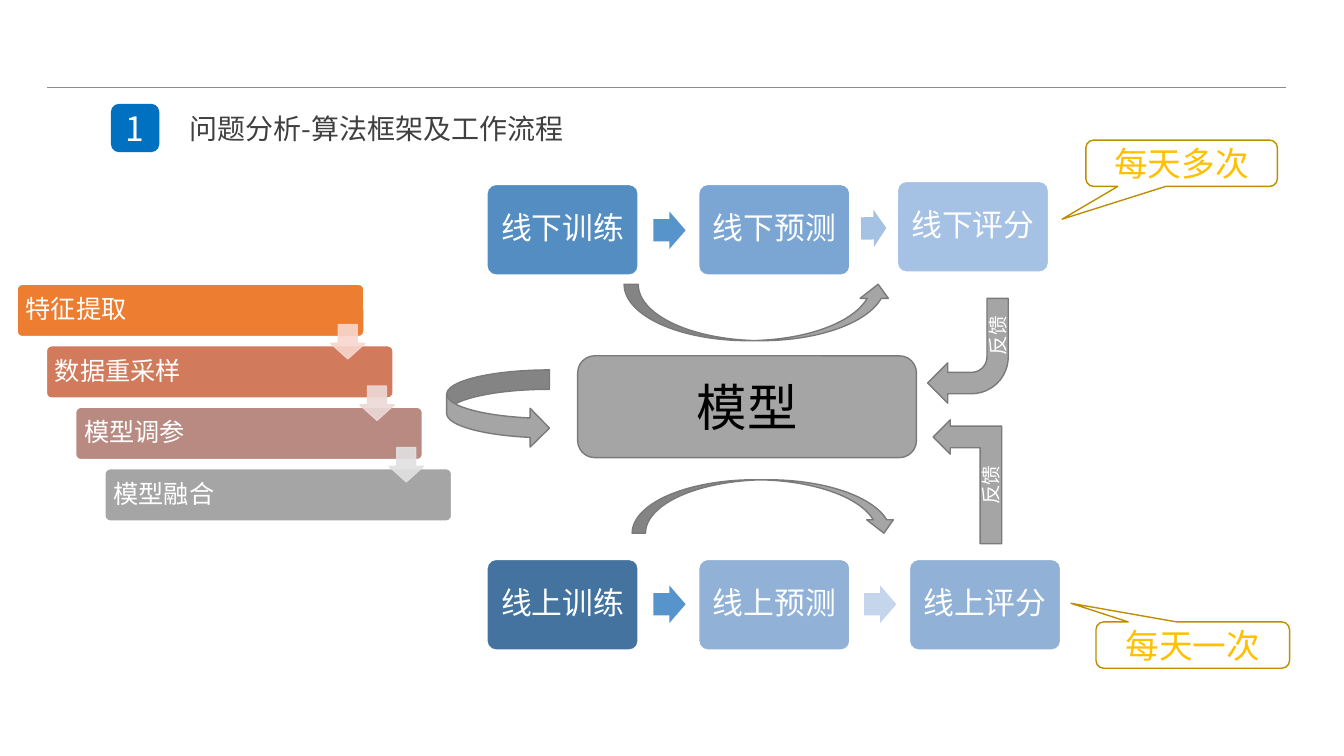
import pptx
import pptx.dml.color
import pptx.enum.shapes
import pptx.enum.text
import pptx.oxml.ns
import pptx.util
from lxml import etree

Inches, Pt = pptx.util.Inches, pptx.util.Pt
SHAPE = pptx.enum.shapes.MSO_SHAPE
ALIGN = pptx.enum.text.PP_ALIGN
ANCHOR = pptx.enum.text.MSO_ANCHOR
qn = pptx.oxml.ns.qn

FONT = "Noto Sans CJK SC"
WHITE, GRAY, GRAY_EDGE, GOLD, GOLD_EDGE = "FFFFFF", "A5A5A5", "7A7A7A", "FFC000", "BD8E00"

TITLE = "问题分析-算法框架及工作流程"
STEPS = [("特征提取", "ED7D31"), ("数据重采样", "D17B5C"),
         ("模型调参", "B98A82"), ("模型融合", "A5A5A5")]
STEP_ARROWS = ["F8D7CE", "EDD9D7", "E1E1E1"]
STAGES = [
    ("线下训练", 4.83, 1.83, "538DC1"),
    ("线下预测", 6.93, 1.83, "7BA6D3"),
    ("线下评分", 8.9, 1.8, "A5C1E3"),
    ("线上训练", 4.83, 5.55, "43739E"),
    ("线上预测", 6.93, 5.55, "91B1D6"),
    ("线上评分", 9.02, 5.55, "91B1D6"),
]
STAGE_ARROWS = [
    (6.48, 2.1, 0.32, 0, "5794CB"),
    (8.54, 2.08, 0.25, 358.9, "A5C1E3"),
    (6.48, 5.81, 0.32, 0, "5794CB"),
    (8.57, 5.81, 0.32, 0, "C5D5EB"),
]
LOOPS = [
    (SHAPE.CURVED_RIGHT_ARROW, (4.43, 3.67, 1.02, 0.77)),
    (SHAPE.CURVED_UP_ARROW, (6.19, 2.82, 2.66, 0.56)),
    (SHAPE.CURVED_DOWN_ARROW, (6.27, 4.76, 2.63, 0.53)),
]
CALLOUTS = [
    ("每天多次", (10.77, 1.39, 1.9, 0.46), (-0.624, 1.206, 0.167)),
    ("每天一次", (10.87, 6.17, 1.92, 0.46), (-0.629, -0.901, 0.167)),
]

prs = pptx.Presentation()
prs.slide_width, prs.slide_height = Inches(13.33), Inches(7.5)
s = prs.slides.add_slide(prs.slide_layouts[6])


def rgb(color):
    return pptx.dml.color.RGBColor.from_string(color)


def write(sp, text, size, color, align=ALIGN.CENTER, inset=None, spacing=None, anchor=ANCHOR.MIDDLE):
    tf = sp.text_frame
    tf.word_wrap = True
    tf.vertical_anchor = anchor
    if inset is not None:
        tf.margin_left = tf.margin_right = tf.margin_top = tf.margin_bottom = Inches(inset)
    p = tf.paragraphs[0]
    p.alignment = align
    if spacing:
        p.line_spacing = spacing
    r = p.add_run()
    r.text = text
    r.font.name, r.font.size = FONT, Pt(size)
    r.font.color.rgb = rgb(color)
    etree.SubElement(r.font._element, qn("a:ea"), typeface=FONT)


def text_box(box, text, size, color, **options):
    sp = s.shapes.add_textbox(*map(Inches, box))
    write(sp, text, size, color, **options)
    return sp


def shape(kind, box, fill, line=None, adj=(), rot=0, alpha=None):
    sp = s.shapes.add_shape(kind, *map(Inches, box))
    sp.shadow.inherit = False
    sp.rotation = rot
    for i, value in enumerate(adj):
        sp.adjustments[i] = value
    sp.fill.solid()
    sp.fill.fore_color.rgb = rgb(fill)
    if line:
        sp.line.color.rgb = rgb(line)
        sp.line.width = Pt(1)
    else:
        sp.line.fill.background()
    if alpha:
        for clr in sp._element.spPr.iter(qn("a:srgbClr")):
            etree.SubElement(clr, qn("a:alpha"), val=str(alpha * 1000))
    return sp


rule = s.shapes.add_connector(pptx.enum.shapes.MSO_CONNECTOR.STRAIGHT,
                              Inches(0.47), Inches(0.87), Inches(12.75), Inches(0.87))
rule.line.color.rgb = rgb("8C8C8C")
rule.line.width = Pt(0.5)
etree.SubElement(rule._element.spPr, qn("a:effectLst"))

badge = shape(SHAPE.ROUNDED_RECTANGLE, (1.1, 1.03, 0.48, 0.48), "0070C0")
write(badge, "1", 24, WHITE)
text_box((1.78, 1, 4.11, 0.54), TITLE, 20, "404040", align=ALIGN.LEFT)

STEP_DX, STEP_DY = 0.29, 0.61
for i, (text, fill) in enumerate(STEPS):
    box = (0.17 + i * STEP_DX, 2.82 + i * STEP_DY, 3.44, 0.52)
    sp = shape(SHAPE.ROUNDED_RECTANGLE, box, fill, WHITE, [0.1])
    write(sp, text, 18, WHITE, align=ALIGN.LEFT, inset=0.07, spacing=0.9)
for i, fill in enumerate(STEP_ARROWS):
    box = (3.28 + i * STEP_DX, 3.22 + i * STEP_DY, 0.34, 0.34)
    shape(SHAPE.DOWN_ARROW, box, fill, fill, (0.55, 0.45), alpha=90)

model = shape(SHAPE.ROUNDED_RECTANGLE, (5.73, 3.53, 3.36, 1.01), GRAY, GRAY_EDGE)
write(model, "模型", 36, "000000")

for text, x, y, fill in STAGES:
    sp = shape(SHAPE.ROUNDED_RECTANGLE, (x, y, 1.5, 0.9), fill, WHITE, [0.1])
    write(sp, text, 22, WHITE, inset=0.09, spacing=0.9)
for x, y, width, rot, fill in STAGE_ARROWS:
    shape(SHAPE.RIGHT_ARROW, (x, y, width, 0.37), fill, adj=(0.6, 0.5), rot=rot)

for kind, box in LOOPS:
    shape(kind, box, GRAY, GRAY_EDGE)

online_feedback = shape(SHAPE.BENT_UP_ARROW, (8.98, 4.44, 1.23, 0.68), GRAY, GRAY_EDGE,
                        (0.315, 0.25, 0.25), 270)
write(online_feedback, "反馈", 14, WHITE)
shape(SHAPE.BENT_ARROW, (9.2, 2.96, 0.8, 1.04), GRAY, GRAY_EDGE, (0.264, 0.25, 0.25, 0.456), 180)
offline_feedback = text_box((9.54, 3.1, 0.71, 0.34), "反馈", 14, WHITE,
                            align=ALIGN.LEFT, anchor=ANCHOR.TOP)
offline_feedback.rotation = 270

for text, box, adj in CALLOUTS:
    sp = shape(SHAPE.ROUNDED_RECTANGULAR_CALLOUT, box, WHITE, GOLD_EDGE, adj)
    write(sp, text, 24, GOLD)

prs.save("out.pptx")
